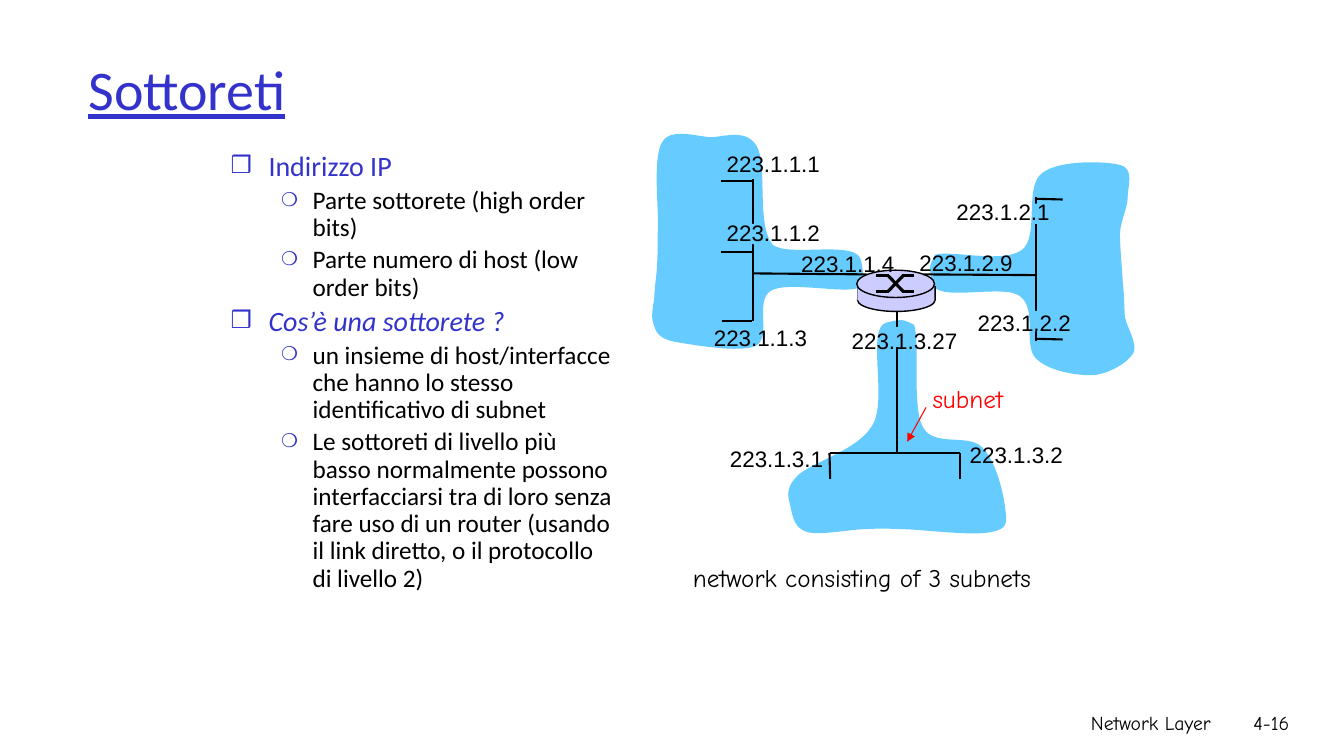
from lxml.etree import SubElement
from pptx import Presentation
from pptx.dml.color import RGBColor
from pptx.enum.shapes import MSO_CONNECTOR, MSO_SHAPE
from pptx.enum.text import MSO_ANCHOR, MSO_AUTO_SIZE, PP_ALIGN
from pptx.oxml.ns import qn
from pptx.util import Pt

BLACK = RGBColor(0x00, 0x00, 0x00)
WHITE = RGBColor(0xFF, 0xFF, 0xFF)
RED = RGBColor(0xFF, 0x00, 0x00)
INDIGO = RGBColor(0x33, 0x33, 0xCC)
SKY = RGBColor(0x66, 0xCC, 0xFF)
LILAC = RGBColor(0xCC, 0xCC, 0xFF)

TITLE = {"name": "Calibri", "size": Pt(40), "underline": True}
TOPIC = {"name": "Calibri", "size": Pt(20)}
QUESTION = {**TOPIC, "italic": True}
DETAIL = {"name": "Calibri", "size": Pt(18)}
ADDRESS = {"name": "Arial", "size": Pt(16)}
CAPTION = {"name": "Comic Neue", "size": Pt(18)}
FOOTER = {"name": "Comic Neue", "size": Pt(14)}

LEVELS = [
    {"bullet": "❒", "percent": 85, "margin": 27, "hanging": 27, "before": 4, "color": INDIGO},
    {"bullet": "❍", "percent": 75, "margin": 58.5, "hanging": 22.5, "before": 3.6, "color": BLACK},
]
OUTLINE = [
    (0, "Indirizzo IP", TOPIC),
    (1, "Parte sottorete (high order bits)", DETAIL),
    (1, "Parte numero di host (low order bits)", DETAIL),
    (0, "Cos’è una sottorete ?", QUESTION),
    (1, "un insieme di host/interfacce che hanno lo stesso identificativo di subnet", DETAIL),
    (1, "Le sottoreti di livello più basso normalmente possono interfacciarsi tra di loro "
        "senza fare uso di un router (usando il link diretto, o il protocollo di livello 2)", DETAIL),
]

SUBNET_CLOUDS = [
    [(615, 186), (612, 171), (564.5, 184), (552, 175), (540, 161), (548.5, 117), (540.5, 104.5),
     (533, 91.5), (517.5, 98), (507, 98), (495.5, 97), (479, 91.5), (473, 101.5),
     (466.5, 111.5), (470, 145.5), (470, 159), (469.5, 173.5), (470, 177), (469.5, 185),
     (469.5, 193.5), (468, 201.5), (467.5, 209), (467.5, 216.5), (464.5, 224.5), (466.5, 230.5),
     (468.5, 236), (468.5, 241), (481, 244), (493, 246), (528.5, 252.5), (540, 247),
     (551.5, 240.5), (538.5, 214.5), (551, 207.5), (562.5, 201), (601, 209.5), (612, 206),
     (615.5, 199.5), (618, 200), (615, 186)],
    [(666, 202.5), (669, 216.5), (716.5, 202.5), (728.5, 211.5), (741, 220.5), (731, 246),
     (739.5, 255.5), (748, 265), (769.5, 268.5), (781, 268), (792.5, 267), (805.5, 259),
     (809.5, 252.5), (813, 245.5), (805, 234.5), (803.5, 226), (803, 217.5), (803, 210),
     (802, 201), (801.5, 191), (800, 176.5), (800, 167), (800.5, 157), (805.5, 149),
     (805.5, 141), (805.5, 133), (810.5, 121), (800.5, 118), (790.5, 115), (755.5, 114),
     (744, 124), (731.5, 134), (742.5, 169), (730, 178.5), (717, 188.5), (679, 178.5),
     (668, 182), (664.5, 189.5), (663, 188), (666, 202.5)],
    [(633, 230.5), (618.5, 234.5), (634.5, 286.5), (623, 304), (612, 322.5), (578, 330.5),
     (569, 340.5), (559.5, 350.5), (564, 357), (565, 363.5), (566.5, 370), (568, 377.5),
     (576.5, 380), (585.5, 382.5), (605.5, 378.5), (617, 378), (628.5, 377.5), (630.5, 377.5),
     (646, 378), (661, 378.5), (696, 383), (708, 380), (720, 378), (719.5, 373), (718, 363),
     (717, 353), (711.5, 329), (701.5, 319.5), (692, 309.5), (667.5, 319.5), (659.5, 305.5),
     (651, 291), (657.5, 245), (653, 232), (646, 229), (646.5, 227), (633, 230.5)],
]
LEFT_LINKS = [(515, 129, 537, 129), (538, 128, 538, 229.5), (515, 180, 537, 180),
              (515.5, 229, 537, 229), (538, 195.3, 619, 196)]
OTHER_LINKS = [(659.5, 196, 739.5, 196.5), (740.2, 141, 740.2, 243.5), (740, 142, 759, 142.5),
               (740, 242, 759, 242.5), (641, 222.5, 641, 324.5), (686, 323.5, 593, 323.5),
               (593, 342, 592.5, 323.5), (685.5, 342.5, 685.5, 323.5)]
LINK_GAPS = [(518.5, 160, 24.5, SKY), (736, 222, 13.5, SKY), (737.5, 145.5, 19.5, SKY),
             (502, 301.5, 67, WHITE), (636, 233.5, 10, SKY)]
ADDRESSES = [
    ("223.1.1.1", 512, 103.7), ("223.1.1.2", 512, 152.8), ("223.1.1.3", 502.8, 227.9),
    ("223.1.1.4", 565.2, 175), ("223.1.2.9", 649.7, 174.5), ("223.1.2.2", 691.2, 217.5),
    ("223.1.2.1", 676.1, 137.8), ("223.1.3.2", 685.6, 311.6), ("223.1.3.1", 514.3, 314.6),
    ("223.1.3.27", 601.3, 230.2),
]


def write(paragraph, text, style, color):
    """Add one formatted run to a paragraph."""
    run = paragraph.add_run()
    run.text = text
    for attribute, value in style.items():
        setattr(run.font, attribute, value)
    run.font.color.rgb = color


def add_text(slide, box, text, style, color=BLACK, wrap=True, align=PP_ALIGN.LEFT,
             anchor=MSO_ANCHOR.TOP):
    """Place a single line of text."""
    frame = slide.shapes.add_textbox(*map(Pt, box)).text_frame
    frame.word_wrap = wrap
    frame.auto_size = MSO_AUTO_SIZE.NONE if wrap else MSO_AUTO_SIZE.SHAPE_TO_FIT_TEXT
    frame.vertical_anchor = anchor
    frame.paragraphs[0].alignment = align
    write(frame.paragraphs[0], text, style, color)


def add_outline(slide, box):
    """Place the bulleted outline."""
    frame = slide.shapes.add_textbox(*map(Pt, box)).text_frame
    frame.word_wrap = True
    for index, (depth, text, style) in enumerate(OUTLINE):
        level = LEVELS[depth]
        paragraph = frame.add_paragraph() if index else frame.paragraphs[0]
        paragraph.level = depth
        paragraph.line_spacing = 0.9
        paragraph.space_before = Pt(level["before"] if index else 0)
        properties = paragraph._p.get_or_add_pPr()
        properties.set("marL", str(Pt(level["margin"])))
        properties.set("indent", str(-Pt(level["hanging"])))
        bullet_color = SubElement(properties, qn("a:buClr"))
        SubElement(bullet_color, qn("a:srgbClr"), val=str(INDIGO))
        SubElement(properties, qn("a:buSzPct"), val=str(level["percent"] * 1000))
        SubElement(properties, qn("a:buFont"), typeface="Calibri")
        SubElement(properties, qn("a:buChar"), char=level["bullet"])
        write(paragraph, text, style, level["color"])


def add_line(shapes, ends, width, color=BLACK, arrow=False):
    """Draw a straight line, with an arrowhead at its end if asked."""
    line = shapes.add_connector(MSO_CONNECTOR.STRAIGHT, *map(Pt, ends))
    line.line.color.rgb = color
    line.line.width = Pt(width)
    if arrow:
        SubElement(line.line._get_or_add_ln(), qn("a:tailEnd"), type="triangle")
    SubElement(line._element.spPr, qn("a:effectLst"))


def paint(shape, fill, outlined=False):
    """Give a shape a flat fill and, if asked, a thin black outline."""
    shape.shadow.inherit = False
    shape.fill.solid()
    shape.fill.fore_color.rgb = fill
    if outlined:
        shape.line.color.rgb = BLACK
        shape.line.width = Pt(1)
    else:
        shape.line.fill.background()


def add_shape(shapes, kind, box, fill, outlined=False):
    """Add a flat preset shape."""
    paint(shapes.add_shape(kind, *map(Pt, box)), fill, outlined)


def add_cloud(slide, points):
    """Draw a closed cloud through a chain of cubic curves."""
    start, *controls = [tuple(map(Pt, point)) for point in points]
    builder = slide.shapes.build_freeform(*start)
    builder.add_line_segments(controls, close=True)
    cloud = builder.convert_to_shape()
    outline = cloud._element.find(".//" + qn("a:path"))
    segments = outline.findall(qn("a:lnTo"))
    for first in range(0, len(controls), 3):
        curve = SubElement(outline, qn("a:cubicBezTo"))
        segments[first].addprevious(curve)
        for segment in segments[first:first + 3]:
            curve.append(segment[0])
            outline.remove(segment)
    paint(cloud, SKY)


def add_router(slide):
    """Draw the router drum with its crossed arrows."""
    parts = slide.shapes.add_group_shape().shapes
    add_shape(parts, MSO_SHAPE.OVAL, (612.5, 206, 55.5, 16.5), LILAC, outlined=True)
    for side in (612.5, 668):
        add_line(parts, (side, 204.5, side, 214.5), 1)
    add_shape(parts, MSO_SHAPE.RECTANGLE, (612.5, 204.5, 55, 10), LILAC)
    add_shape(parts, MSO_SHAPE.OVAL, (612, 193, 55.5, 19.5), LILAC, outlined=True)
    for start, end in ((197, 208), (208, 197)):
        add_line(parts, (625.5, start, 635, start), 2.25)
        add_line(parts, (644, end, 653, end), 2.25)
        add_line(parts, (634.5, start, 645, end), 2.25)


def main():
    """Build the subnet slide."""
    deck = Presentation()
    deck.slide_width, deck.slide_height = Pt(960), Pt(540)
    slide = deck.slides.add_slide(deck.slide_layouts[6])
    add_text(slide, (568, 504, 304, 36), "Network Layer", FOOTER, align=PP_ALIGN.RIGHT)
    add_text(slide, (857, 504, 71, 36), "4-16", FOOTER, align=PP_ALIGN.RIGHT)
    for cloud in SUBNET_CLOUDS:
        add_cloud(slide, cloud)
    add_text(slide, (56, 18, 816, 90), "Sottoreti", TITLE, INDIGO, anchor=MSO_ANCHOR.MIDDLE)
    add_outline(slide, (157.7, 105.3, 289.5, 366))
    for link in LEFT_LINKS:
        add_line(slide.shapes, link, 1.5)
    add_router(slide)
    for link in OTHER_LINKS:
        add_line(slide.shapes, link, 1.5)
    for left, top, width, fill in LINK_GAPS:
        add_shape(slide.shapes, MSO_SHAPE.RECTANGLE, (left, top, width, 14.5), fill)
    for address, left, top in ADDRESSES:
        width = 82 if len(address) == 9 else 91
        add_text(slide, (left, top, width, 26.5), address, ADDRESS, wrap=False)
    add_text(slide, (487.8, 397.8, 284.5, 29), "network consisting of 3 subnets", CAPTION, wrap=False)
    add_text(slide, (659, 270, 71, 29), "subnet", CAPTION, RED, wrap=False)
    add_line(slide.shapes, (661.5, 291, 648, 315.5), 0.75, RED, arrow=True)
    deck.save("out.pptx")


if __name__ == "__main__":
    main()
